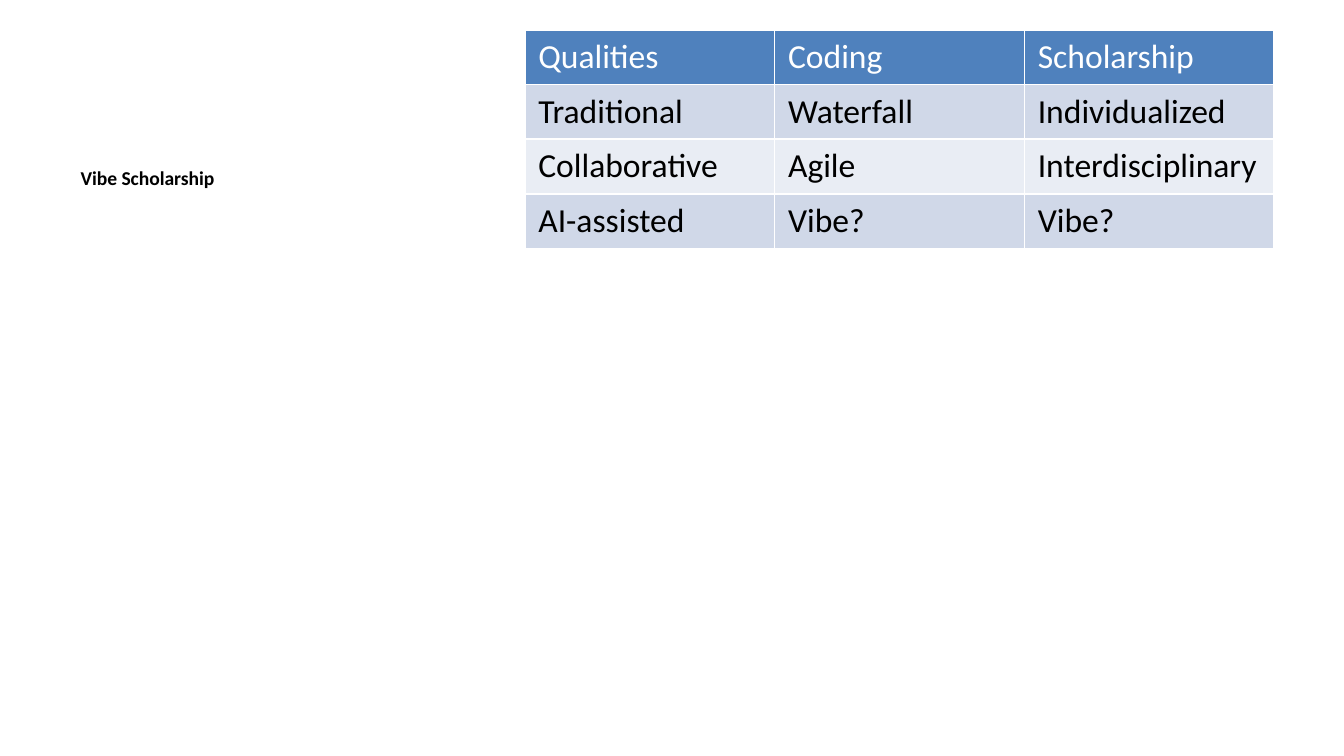
from dataclasses import dataclass

from pptx import Presentation
from pptx.dml.color import RGBColor
from pptx.enum.text import MSO_ANCHOR, MSO_AUTO_SIZE, PP_ALIGN
from pptx.slide import Slide
from pptx.util import Cm, Pt

TOP = MSO_ANCHOR.TOP
LEFT = PP_ALIGN.LEFT
FIXED = MSO_AUTO_SIZE.NONE

FONT = "Calibri"
BLACK = "000000"
WHITE = "FFFFFF"
TITLE_ONLY = 5
COL_W = 4.72
ROW_H = 1.03


@dataclass
class Row:
    texts: tuple[str, ...]
    fill: str
    ink: str = BLACK


ROWS = [
    Row(("Qualities", "Coding", "Scholarship"), "4F81BD", WHITE),
    Row(("Traditional", "Waterfall", "Individualized"), "D0D8E8"),
    Row(("Collaborative", "Agile", "Interdisciplinary"), "E9EDF4"),
    Row(("AI-assisted", "Vibe?", "Vibe?"), "D0D8E8"),
]


def rgb(code: str) -> RGBColor:
    return RGBColor.from_string(code)


def write(frame, text: str, *, size: float, ink: str = BLACK,
          bold: bool = False, before: float = 0) -> None:
    par = frame.paragraphs[0]
    par.alignment = LEFT
    par.space_before = Pt(before)
    run = par.add_run()
    run.text = text
    run.font.name = FONT
    run.font.size = Pt(size)
    run.font.bold = bold
    run.font.color.rgb = rgb(ink)


def add_title(slide: Slide, text: str) -> None:
    title = slide.shapes.title
    title.left, title.top = Cm(1.27), Cm(3)
    title.width, title.height = Cm(8.36), Cm(9.78)
    frame = title.text_frame
    frame.word_wrap = True
    frame.auto_size = FIXED
    frame.vertical_anchor = TOP
    write(frame, text, size=10.5, bold=True, before=30)


def add_grid(slide: Slide, rows: list[Row]) -> None:
    cols = len(rows[0].texts)
    table = slide.shapes.add_table(
        len(rows), cols, Cm(9.92), Cm(0.57),
        Cm(COL_W * cols), Cm(ROW_H * len(rows))).table
    for i, row in enumerate(rows):
        for j, text in enumerate(row.texts):
            cell = table.cell(i, j)
            cell.fill.solid()
            cell.fill.fore_color.rgb = rgb(row.fill)
            write(cell.text_frame, text, size=18, ink=row.ink)


def main() -> None:
    deck = Presentation()
    deck.slide_width, deck.slide_height = Cm(25.4), Cm(14.28)
    slide = deck.slides.add_slide(deck.slide_layouts[TITLE_ONLY])
    add_title(slide, "Vibe Scholarship")
    add_grid(slide, ROWS)
    deck.save("out.pptx")


if __name__ == "__main__":
    main()
